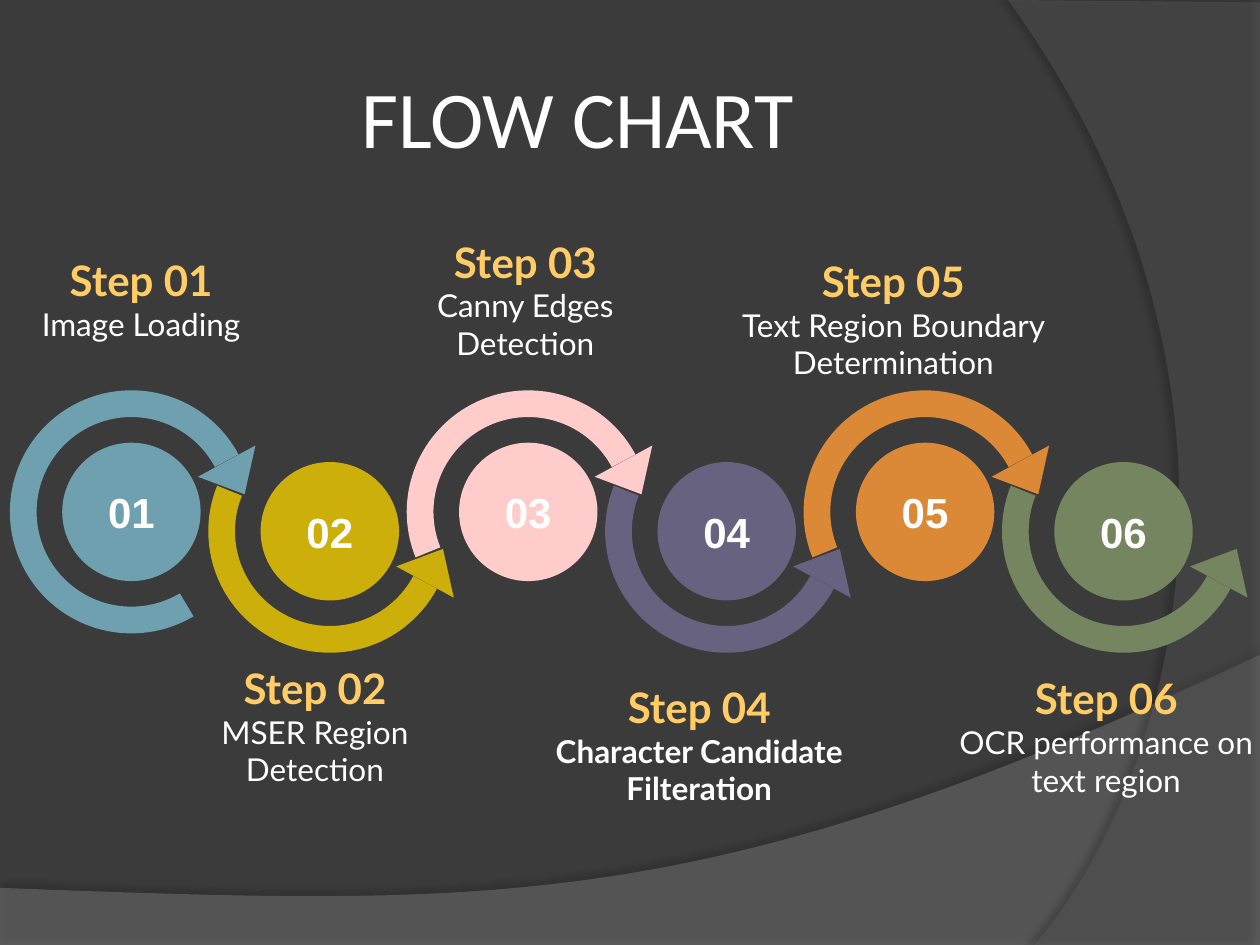
from lxml.etree import SubElement
from pptx import Presentation
from pptx.dml.color import RGBColor
from pptx.enum.shapes import MSO_SHAPE as Shape
from pptx.enum.text import MSO_ANCHOR as Anchor, PP_ALIGN as Align
from pptx.oxml.ns import qn
from pptx.util import Cm, Pt

WIDTH, HEIGHT = 25.4, 19.05
PITCH, RING, DISC = 4, 4.9, 2.79
HEAD_WIDTH, HEAD_HEIGHT, HEAD_TURN = 1.32, 0.76, 151.5
HEAD_LEFT, HEAD_TOP = 3.89, 1.38
FULL_TURN, ARC_END, ARC_THICKNESS = 216, 199.08, 0.11
OPEN_START, LINKED_START = 35.56, 94.81

STEPS = [
    ("Image Loading", "6EA0B0", False, (0, 5.13, 5.69, 1.8)),
    ("MSER Region Detection", "CCAF0A", False, (3.1, 13.72, 6.5, 1.8)),
    ("Canny Edges Detection", "FFCCCC", False, (7.49, 5.13, 6.2, 1.8)),
    ("Character Candidate Filteration", "67627F", True, (10.69, 13.72, 6.81, 2.57)),
    ("Text Region Boundary Determination", "DB8937", False, (14.91, 5.13, 6.2, 2.57)),
    ("OCR performance on text region", "748560", False, (19.2, 13.54, 6.2, 2.57)),
]


def color(value):
    """Turn a hex string into a colour."""
    return RGBColor.from_string(value)


def paint(shape, fill):
    """Give a shape a flat fill without line or shadow."""
    shape.shadow.inherit = False
    shape.fill.solid()
    shape.fill.fore_color.rgb = color(fill)
    shape.line.fill.background()


def style(span, font, size, fill, bold=False):
    """Set the font of a run."""
    span.font.name, span.font.size, span.font.bold = font, Pt(size), bold
    span.font.color.rgb = color(fill)


def add_part(page, kind, box, fill):
    """Add a painted preset shape."""
    shape = page.shapes.add_shape(kind, *map(Cm, box))
    paint(shape, fill)
    return shape


def write(shape, text, margin):
    """Put centred text in a shape and return its paragraph."""
    frame = shape.text_frame
    frame.word_wrap = True
    frame.vertical_anchor = Anchor.MIDDLE
    frame.margin_left = frame.margin_right = Cm(margin)
    frame.margin_top = frame.margin_bottom = Cm(margin)
    para = frame.paragraphs[0]
    para.text = text
    para.alignment = Align.CENTER
    return para


def curve(start, first, second, end, count=60):
    """List the points after the start of a Bezier curve."""
    points = []
    for index in range(1, count + 1):
        t = index / count
        weights = (1 - t) ** 3, 3 * t * (1 - t) ** 2, 3 * t * t * (1 - t), t ** 3
        points.append(tuple(
            sum(weight * value for weight, value in zip(weights, axis))
            for axis in zip(start, first, second, end)
        ))
    return points


def add_swoosh(page, points, fill, opacity, shade, direction):
    """Add a translucent background outline with a soft shadow."""
    places = [(Cm(x), Cm(y)) for x, y in points]
    builder = page.shapes.build_freeform(*places[0])
    builder.add_line_segments(places[1:], close=True)
    shape = builder.convert_to_shape()
    paint(shape, fill)
    properties = shape._element.spPr
    tint = properties.find(qn("a:solidFill"))[0]
    SubElement(tint, qn("a:alpha"), val=str(opacity * 1000))
    shadow = SubElement(
        properties.find(qn("a:effectLst")), qn("a:outerShdw"),
        blurRad=str(Pt(4)), dist=str(Pt(4)), dir=str(direction * 60000),
        algn="ctr", rotWithShape="0",
    )
    black = SubElement(shadow, qn("a:srgbClr"), val="000000")
    SubElement(black, qn("a:alpha"), val=str(shade * 1000))


def add_backdrop(page, left, top, width, height):
    """Draw the dark ground with its two swooshes."""
    page.background.fill.solid()
    page.background.fill.fore_color.rgb = color("3B3B3B")
    right, bottom = left + width, top + height
    low, high = (left, top + 17.9), (right, top + 13.2)
    wave = curve(high, (left + 14.2, top + 18.52), (left + 9.93, top + 18.26), low)
    add_swoosh(page, [low, (left, bottom), (right, bottom), high] + wave,
               "7F7F7F", 45, 35, 270)
    foot, peak = (left + 20.85, bottom), (left + 20.32, top)
    side = curve(foot, (left + 23.75, top + 15.72), (left + 25.86, top + 7.62), peak)
    add_swoosh(page, [(right, top + 0.05), (right, bottom), foot] + side,
               "5E5E5E", 40, 45, 180)


def add_title(page, left, top, width, height):
    """Write the slide title."""
    box = page.shapes.add_textbox(Cm(left), Cm(top), Cm(width), Cm(height))
    para = write(box, "FLOW CHART", 0.13)
    style(para.runs[0], "Calibri", 46, "FFFFFF")


def add_ring(page, left, top, number, fill):
    """Draw a numbered disc in an arrow that opens down, or up if even."""
    upward = number % 2 == 0
    start = OPEN_START if number == 1 else LINKED_START
    ends = (FULL_TURN - ARC_END, FULL_TURN - start) if upward else (start, ARC_END)
    arc = add_part(page, Shape.BLOCK_ARC, (left, top, RING, RING), fill)
    for index, value in enumerate((*ends, ARC_THICKNESS)):
        arc.adjustments[index] = value
    drop = RING - HEAD_TOP - HEAD_HEIGHT if upward else HEAD_TOP
    head = add_part(page, Shape.ISOSCELES_TRIANGLE,
                    (left + HEAD_LEFT, top + drop, HEAD_WIDTH, HEAD_HEIGHT), fill)
    head.rotation = 180 - HEAD_TURN if upward else HEAD_TURN
    inset = (RING - DISC) / 2
    disc = add_part(page, Shape.OVAL, (left + inset, top + inset, DISC, DISC), fill)
    style(write(disc, f"{number:02}", 0.1).runs[0], "Arial", 24, "FFFFFF", True)


def add_label(page, left, top, width, height, number, text, bold):
    """Write the step heading over its description."""
    box = page.shapes.add_textbox(Cm(left), Cm(top), Cm(width), Cm(height))
    para = write(box, f"Step {number:02}\v{text}", 0)
    heading, description = para.runs
    style(heading, "Lato", 24, "FFCC66", True)
    style(description, "Lato", 18, "FFFFFF", bold)


def add_flow(page, left, top):
    """Place the chain of rings and their labels."""
    for index, (text, fill, bold, box) in enumerate(STEPS):
        number = index + 1
        add_ring(page, left + index * PITCH, top + index % 2 * 0.39, number, fill)
        add_label(page, *box, number, text, bold)


def main():
    """Build and save the deck."""
    deck = Presentation()
    deck.slide_width, deck.slide_height = Cm(WIDTH), Cm(HEIGHT)
    page = deck.slides.add_slide(deck.slide_layouts[6])
    add_backdrop(page, 0, 0, WIDTH, HEIGHT)
    add_title(page, 1.27, 0.76, 20.75, 3.18)
    add_flow(page, 0.2, 7.87)
    deck.save("out.pptx")


if __name__ == "__main__":
    main()
